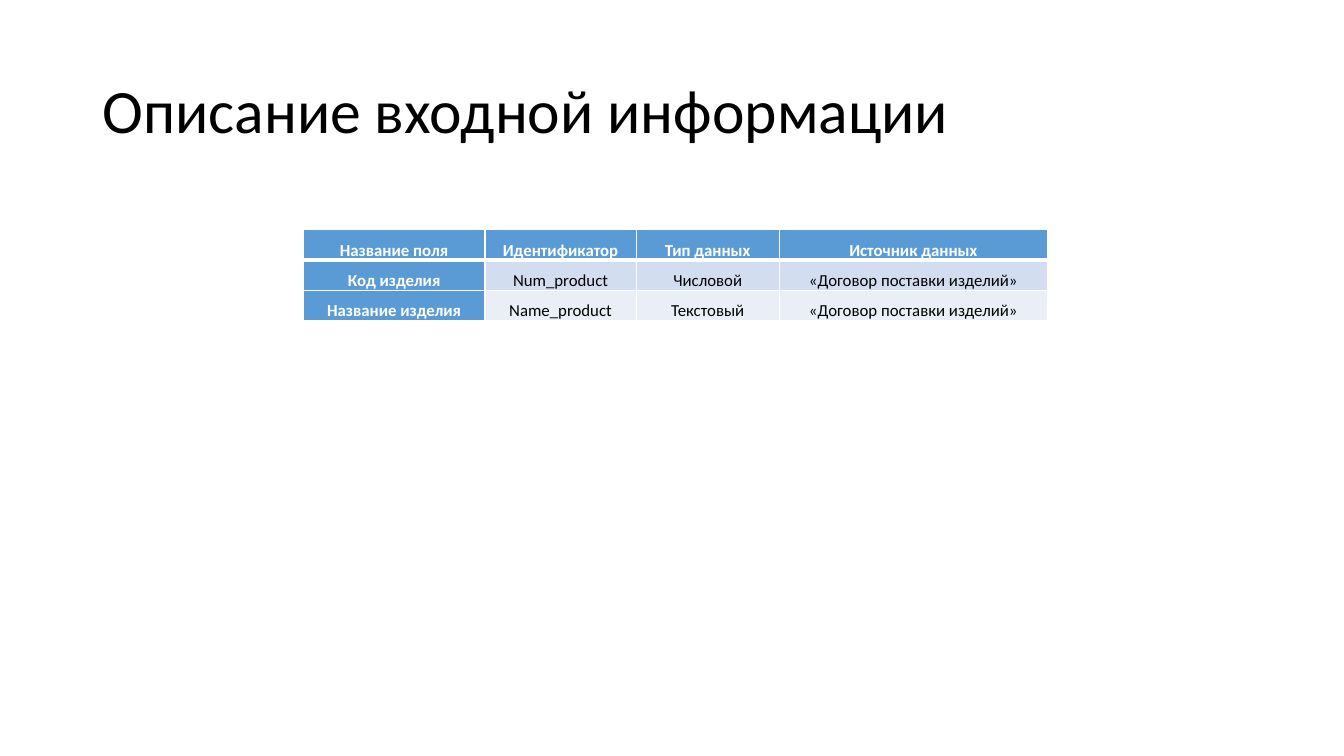
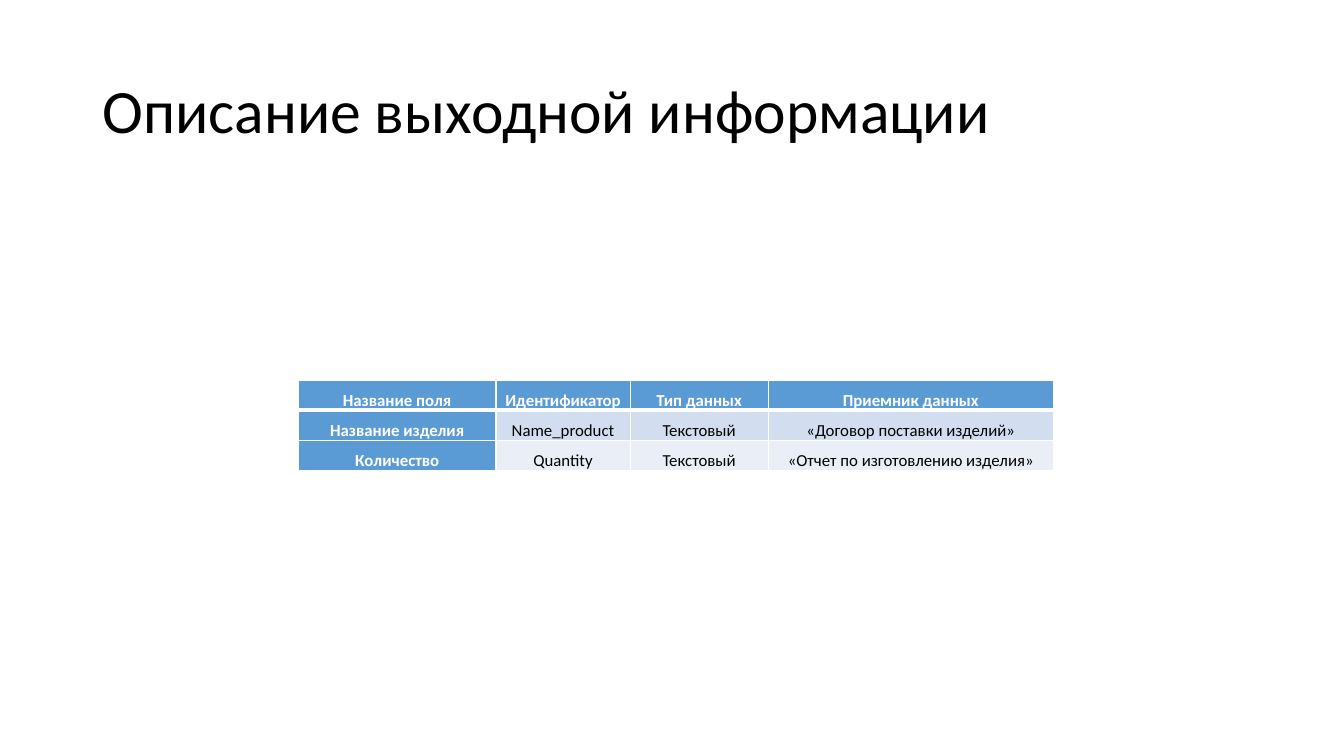
import dataclasses

import pptx
import pptx.dml.color
import pptx.enum.text
import pptx.oxml
import pptx.oxml.ns
import pptx.util

PX = 9144  # EMU in one px: 100 px to the inch
BLANK_LAYOUT = 6


@dataclasses.dataclass(frozen=True)
class Theme:
    font: str = "Calibri"
    title_size: int = 44
    cell_size: int = 12
    ink: str = "000000"
    paper: str = "FFFFFF"
    accent: str = "5B9BD5"
    bands: tuple = ("D2DEEF", "EAEFF7")
    thin_line: int = 1
    thick_line: int = 3


class DeckBuilder:
    """Holds the style, the deck and the current slide."""

    def __init__(self, theme, width, height):
        self.theme = theme
        self.deck = pptx.Presentation()
        self.deck.slide_width = width * PX
        self.deck.slide_height = height * PX
        self.slide = None

    def add_slide(self):
        self.slide = self.deck.slides.add_slide(self.deck.slide_layouts[BLANK_LAYOUT])

    def set_text(self, frame, text, size, color, bold=False, **paragraph_format):
        para = frame.paragraphs[0]
        for name, value in paragraph_format.items():
            setattr(para, name, value)
        span = para.add_run()
        span.text = text
        font_format = {"name": self.theme.font, "size": pptx.util.Pt(size), "bold": bold}
        for name, value in font_format.items():
            setattr(span.font, name, value)
        span.font.color.rgb = pptx.dml.color.RGBColor.from_string(color)

    def add_title(self, text):
        box = self.slide.shapes.add_textbox(92 * PX, 40 * PX, 1150 * PX, 145 * PX)
        frame = box.text_frame
        frame.word_wrap = True
        frame.vertical_anchor = pptx.enum.text.MSO_ANCHOR.MIDDLE
        self.set_text(frame, text, self.theme.title_size, self.theme.ink, line_spacing=0.9)

    def add_table(self, left, top, widths, rows, row_height=30):
        """Draw rows of text with a header row and a header column."""
        table = self.slide.shapes.add_table(
            len(rows), len(widths), left * PX, top * PX,
            sum(widths) * PX, row_height * len(rows) * PX).table
        for column, width in zip(table.columns, widths):
            column.width = width * PX
        table.first_col = True
        for row_index, texts in enumerate(rows):
            for column_index, text in enumerate(texts):
                self.fill_cell(table.cell(row_index, column_index), text,
                               row_index, column_index)

    def fill_cell(self, cell, text, row_index, column_index):
        theme = self.theme
        is_header = row_index == 0 or column_index == 0
        cell_format = {"margin_left": 7 * PX, "margin_right": 7 * PX,
                       "margin_top": 0, "margin_bottom": 0}
        for name, value in cell_format.items():
            setattr(cell, name, value)
        self.add_borders(cell, row_index)
        cell.fill.solid()
        fill = theme.accent if is_header else theme.bands[(row_index - 1) % 2]
        cell.fill.fore_color.rgb = pptx.dml.color.RGBColor.from_string(fill)
        self.set_text(cell.text_frame, text, theme.cell_size,
                      theme.paper if is_header else theme.ink, is_header,
                      alignment=pptx.enum.text.PP_ALIGN.CENTER, line_spacing=1.5)

    def add_borders(self, cell, row_index):
        """Draw thin borders, with a thick one under the header row."""
        theme = self.theme
        widths = dict.fromkeys(("lnL", "lnR", "lnT", "lnB"), theme.thin_line)
        if row_index < 2:
            widths["lnB" if row_index == 0 else "lnT"] = theme.thick_line
        properties = cell._tc.get_or_add_tcPr()
        for tag, width in widths.items():
            properties.append(pptx.oxml.parse_xml(
                f'<a:{tag} {pptx.oxml.ns.nsdecls("a")} w="{pptx.util.Pt(width)}">'
                f'<a:solidFill><a:srgbClr val="{theme.paper}"/></a:solidFill>'
                f'</a:{tag}>'))


SLIDES = [
    {
        "title": "Описание входной информации",
        "table": {
            "left": 301, "top": 228, "widths": (180, 150, 142, 266),
            "rows": [
                ("Название поля", "Идентификатор", "Тип данных", "Источник данных"),
                ("Код изделия", "Num_product", "Числовой", "«Договор поставки изделий»"),
                ("Название изделия", "Name_product", "Текстовый",
                 "«Договор поставки изделий»"),
            ],
        },
    },
    {
        "title": "Описание выходной информации",
        "table": {
            "left": 296, "top": 377, "widths": (196, 133, 137, 283),
            "rows": [
                ("Название поля", "Идентификатор", "Тип данных", "Приемник данных"),
                ("Название изделия", "Name_product", "Текстовый",
                 "«Договор поставки изделий»"),
                ("Количество", "Quantity", "Текстовый", "«Отчет по изготовлению изделия»"),
            ],
        },
    },
]


def main():
    builder = DeckBuilder(Theme(), 1333, 750)
    for content in SLIDES:
        builder.add_slide()
        builder.add_title(content["title"])
        builder.add_table(**content["table"])
    builder.deck.save("out.pptx")


if __name__ == "__main__":
    main()
